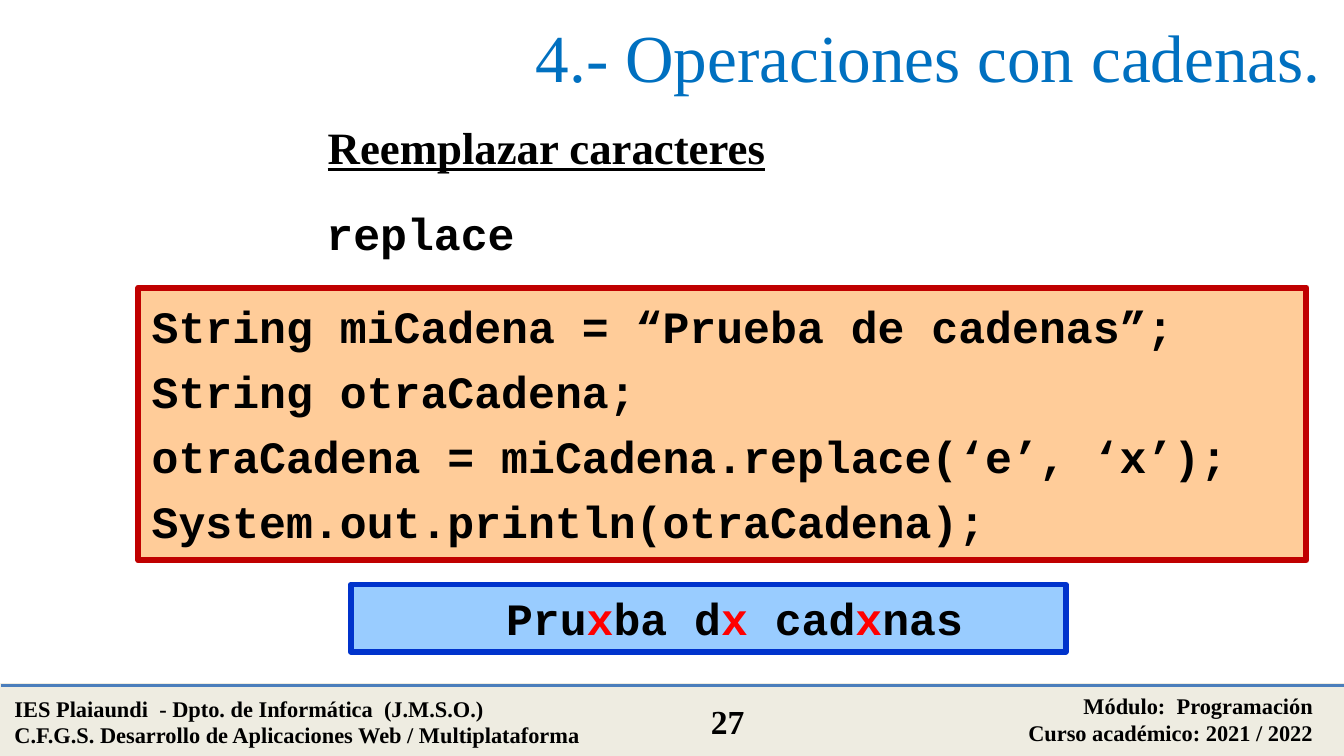
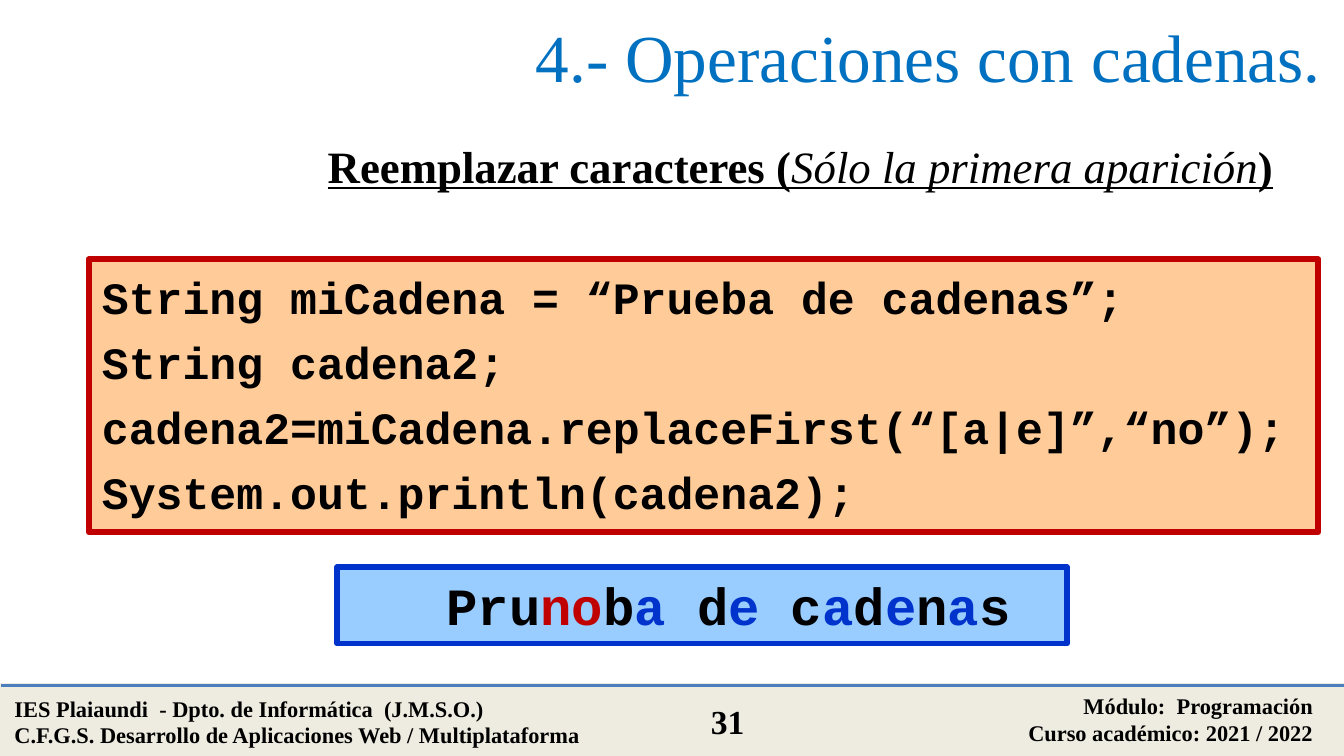
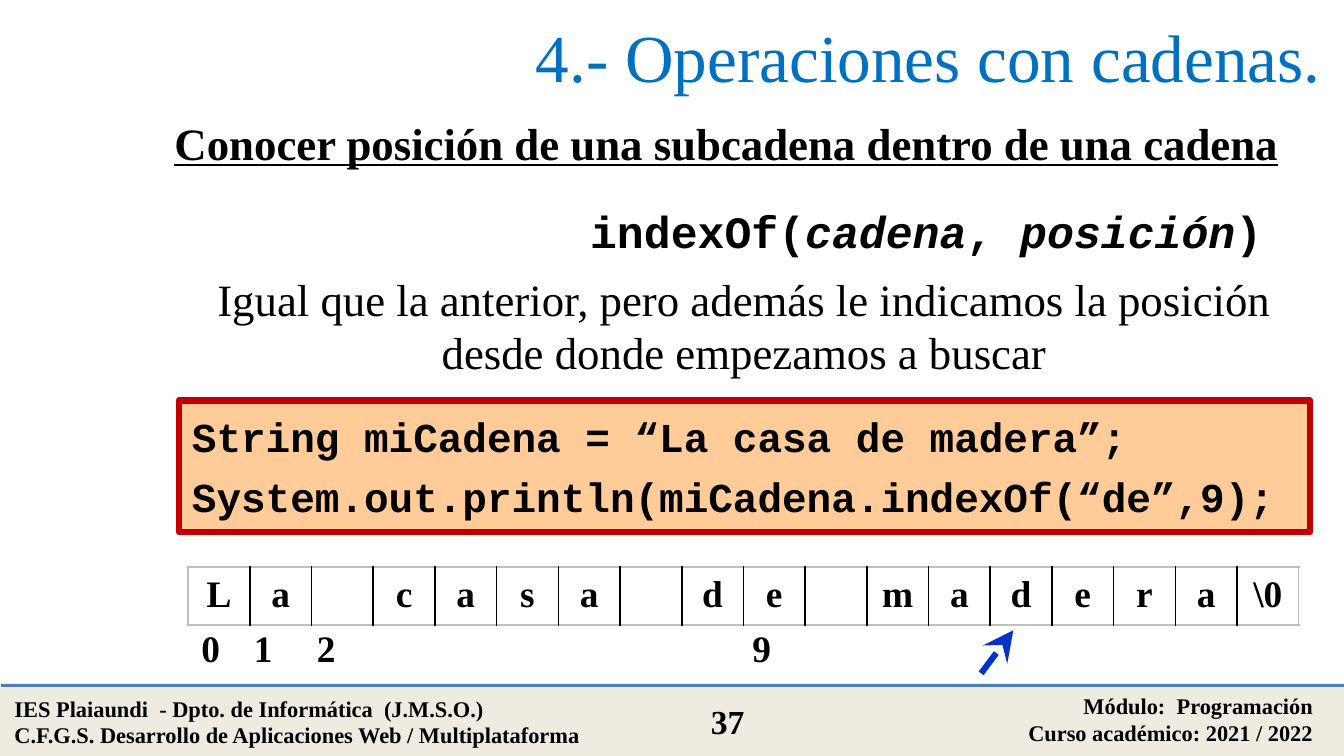
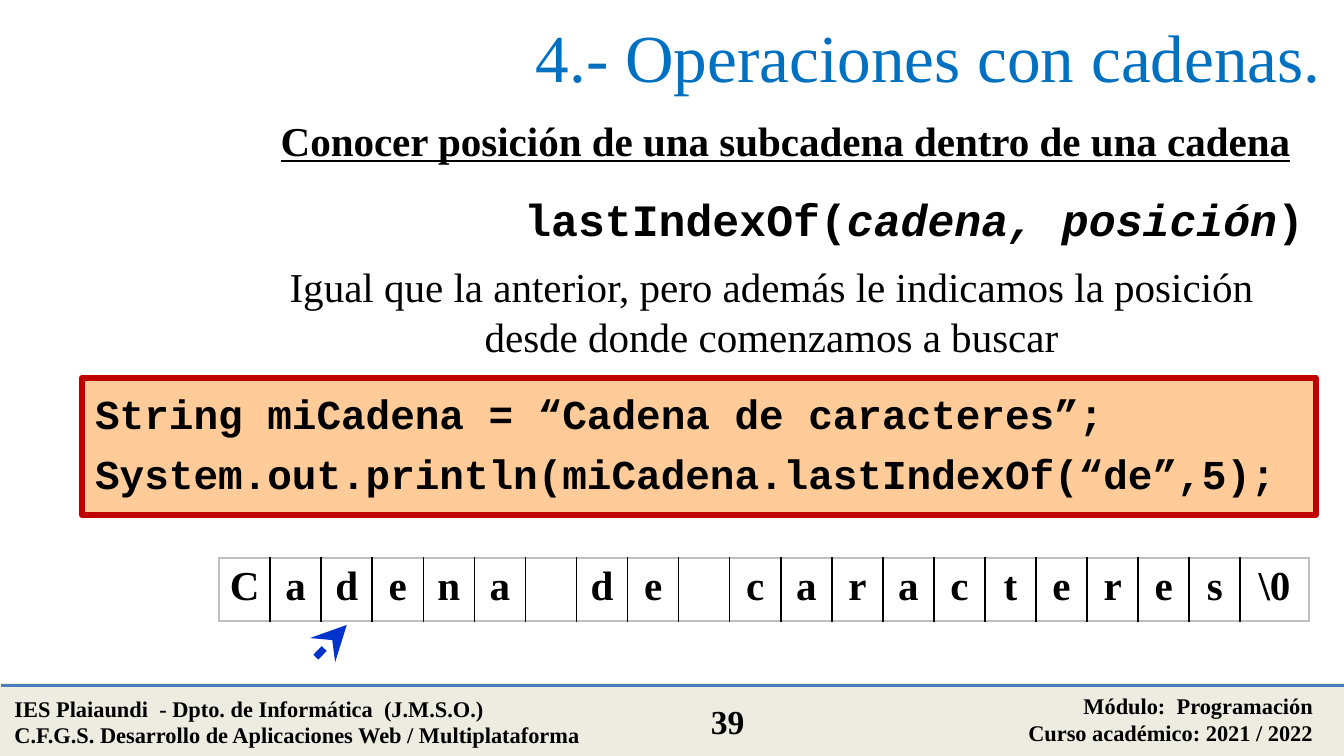
import pptx
import pptx.util
import pptx.dml.color
import pptx.enum.shapes
import pptx.enum.text
import pptx.oxml.ns
from dataclasses import dataclass
from lxml import etree

PT = pptx.util.Pt
ALIGN = pptx.enum.text.PP_ALIGN
RECT = pptx.enum.shapes.MSO_SHAPE.RECTANGLE
STRAIGHT = pptx.enum.shapes.MSO_CONNECTOR.STRAIGHT

# Grid: 100 columns by 56.25 rows of square units
COLS, ROWS = 100, 56.25
UNIT = pptx.util.Inches(0.1)


@dataclass(frozen=True)
class Theme:
    serif: str = "Times New Roman"
    mono: str = "Courier New"
    text: str = "000000"
    title: str = "0070C0"
    band: str = "EEECE1"
    rule: str = "4B7EBC"
    code_fill: str = "FFCC99"
    code_line: str = "C00000"
    result_fill: str = "99CCFF"
    result_line: str = "0033CC"
    highlight: str = "FF0000"
    grid_inner: str = "000000"
    grid_outer: str = "BFBFBF"
    title_size: int = 36
    large: int = 28
    body: int = 24
    small: int = 22
    cell: int = 20
    number: int = 18
    footer: int = 12
    code_gap: int = 6


T = Theme()
BOLD = {"bold": True}
BOLD_ITALIC = {"bold": True, "italic": True}
HEADING = {"bold": True, "underline": True}


def units(*values):
    return [round(v * UNIT) for v in values]


def rgb(color):
    return pptx.dml.color.RGBColor.from_string(color)


def sub(parent, tag, **attrs):
    return etree.SubElement(parent, pptx.oxml.ns.qn(tag), attrs)


# Text
def add_run(p, text, size, font, color=T.text, **style):
    r = p.add_run()
    r.text = text
    r.font.size, r.font.name = PT(size), font
    r.font.color.rgb = rgb(color)
    for name, value in style.items():
        setattr(r.font, name, value)


def write(tf, paragraphs, size, font, align=ALIGN.LEFT, gap=0):
    """Each paragraph is a list of (text, style) runs."""
    tf.word_wrap = True
    tf.auto_size = pptx.enum.text.MSO_AUTO_SIZE.NONE
    for i, runs in enumerate(paragraphs):
        p = tf.add_paragraph() if i else tf.paragraphs[0]
        p.alignment = align
        if i and gap:
            p.space_before = PT(gap)
        for text, style in runs:
            add_run(p, text, size, font, **style)


def add_text(shapes, at, paragraphs, size=T.body, font=T.serif, align=ALIGN.LEFT):
    sp = shapes.add_textbox(*units(*at))
    write(sp.text_frame, paragraphs, size, font, align)


def add_heading(s, at, runs, size=T.body):
    add_text(s.shapes, at, [runs], size, align=ALIGN.JUSTIFY)


# Boxes and lines
def add_box(shapes, at, fill, line, width):
    sp = shapes.add_shape(RECT, *units(*at))
    sp.shadow.inherit = False
    sp.fill.solid()
    sp.fill.fore_color.rgb = rgb(fill)
    sp.line.color.rgb = rgb(line)
    sp.line.width = PT(width)
    sp.text_frame.vertical_anchor = pptx.enum.text.MSO_ANCHOR.TOP
    return sp


def add_line(shapes, ends, color, width):
    cx = shapes.add_connector(STRAIGHT, *units(*ends))
    cx.line.color.rgb = rgb(color)
    cx.line.width = PT(width)
    sub(cx._element.spPr, "a:effectLst")
    return cx


def add_arrow(s, ends, width):
    cx = add_line(s.shapes, ends, T.result_line, width)
    sub(cx.line._get_or_add_ln(), "a:tailEnd", type="stealth", w="lg", len="lg")


def add_code(s, at, lines, size=T.body):
    tf = add_box(s.shapes, at, T.code_fill, T.code_line, 3.25).text_frame
    tf.margin_top, tf.margin_bottom = units(0.8, 0.8)
    write(tf, [[(line, BOLD)] for line in lines], size, T.mono, gap=T.code_gap)


def add_result(s, at, parts, size=T.body):
    tf = add_box(s.shapes, at, T.result_fill, T.result_line, 3).text_frame
    runs = [(text, {"bold": True, "color": color}) for text, color in parts]
    write(tf, [runs], size, T.mono, ALIGN.CENTER)
    pPr = tf.paragraphs[0]._p.get_or_add_pPr()
    pPr.set("marL", "0")
    pPr.set("indent", str(units(3.9)[0]))


# One-row table with one character per cell
def set_border(cell, side, color):
    ln = sub(cell._tc.get_or_add_tcPr(), "a:" + side, w=str(PT(1)))
    sub(sub(ln, "a:solidFill"), "a:srgbClr", val=color)


def add_characters(s, at, word, size, last_width=None):
    left, top, width, height = at
    chars = list(word) + ["\\0"]
    n = len(chars)
    last_width = last_width or width / n
    table = s.shapes.add_table(1, n, *units(*at)).table
    table.first_row = table.horz_banding = False
    table.rows[0].height = units(height)[0]
    for i, char in enumerate(chars):
        is_last = i == n - 1
        table.columns[i].width = units(last_width if is_last else (width - last_width) / (n - 1))[0]
        cell = table.cell(0, i)
        cell.margin_left = cell.margin_right = units(0.5)[0]
        p = cell.text_frame.paragraphs[0]
        p.alignment = ALIGN.CENTER
        if char != " ":
            add_run(p, char, size, T.serif, bold=True)
        set_border(cell, "lnL", T.grid_inner if i else T.grid_outer)
        set_border(cell, "lnR", T.grid_outer if is_last else T.grid_inner)
        set_border(cell, "lnT", T.grid_outer)
        set_border(cell, "lnB", T.grid_outer)
        cell.fill.background()


# Shared title and footer
def add_footer(s, number):
    shapes = s.shapes.add_group_shape().shapes
    add_box(shapes, (0.1, 51, COLS, 5.25), T.band, T.band, 2)
    add_line(shapes, (0.1, 51, COLS + 0.1, 51), T.rule, 2)
    school = ["IES Plaiaundi  - Dpto. de Informática  (J.M.S.O.)",
              "C.F.G.S. Desarrollo de Aplicaciones Web / Multiplataforma"]
    course = ["Módulo:  Programación", "Curso académico: 2021 / 2022"]
    for at, lines, size, align in (
            ((0.1, 51.2, 46.6, 5), school, T.footer, ALIGN.LEFT),
            ((58.7, 51.03, 40, 5), course, T.footer, ALIGN.RIGHT),
            ((50.1, 51.7, 8.1, 4), [str(number)], T.number, ALIGN.CENTER)):
        add_text(shapes, at, [[(line, BOLD)] for line in lines], size, align=align)


def new_slide(prs, number):
    s = prs.slides.add_slide(prs.slide_layouts[5])
    add_footer(s, number)
    sp = s.shapes.title
    sp.left, sp.top, sp.width, sp.height = units(12.4, 0, 86.9, 8.3)
    sp.text_frame.vertical_anchor = pptx.enum.text.MSO_ANCHOR.MIDDLE
    write(sp.text_frame, [[("4.- Operaciones con cadenas.", {"color": T.title})]],
          T.title_size, T.serif, ALIGN.RIGHT)
    return s


# Slides
def replace_slide(prs):
    s = new_slide(prs, 27)
    add_heading(s, (23.4, 8.4, 74.1, 5), [("Reemplazar caracteres", HEADING)])
    add_text(s.shapes, (23.3, 14.8, 27.1, 5), [[("replace", BOLD)]], font=T.mono)
    add_code(s, (10.3, 21.4, 86.9, 20.3), [
        "String miCadena = “Prueba de cadenas”;",
        "String otraCadena;",
        "otraCadena = miCadena.replace(‘e’, ‘x’);",
        "System.out.println(otraCadena);"])
    add_result(s, (26.1, 43.5, 53.2, 5), [
        ("Pru", T.text), ("x", T.highlight), ("ba d", T.text), ("x ", T.highlight),
        ("cad", T.text), ("x", T.highlight), ("nas", T.text)])


def replace_first_slide(prs):
    s = new_slide(prs, 31)
    add_heading(s, (23.4, 9.8, 72.3, 5), [
        ("Reemplazar caracteres (", HEADING),
        ("Sólo la primera aparición", {"italic": True, "underline": True}),
        (")", HEADING)])
    add_code(s, (6.6, 19.3, 91.5, 20.3), [
        "String miCadena = “Prueba de cadenas”;",
        "String cadena2;",
        "cadena2=miCadena.replaceFirst(“[a|e]”,“no”);",
        "System.out.println(cadena2);"])
    add_result(s, (25.1, 42.2, 54.3, 5.7), [
        ("Pru", T.text), ("no", T.code_line), ("b", T.text), ("a", T.result_line),
        (" d", T.text), ("e", T.result_line), (" c", T.text), ("a", T.result_line),
        ("d", T.text), ("e", T.result_line), ("n", T.text), ("a", T.result_line),
        ("s", T.text)], T.large)


def index_of_slide(prs):
    s = new_slide(prs, 37)
    add_heading(s, (12, 8.1, 85.7, 5),
                [("Conocer posición de una subcadena dentro de una cadena", HEADING)])
    add_text(s.shapes, (28.8, 14.7, 66.1, 5), [[
        ("indexOf(", BOLD), ("cadena", BOLD_ITALIC), (", ", BOLD),
        ("posición", BOLD_ITALIC), (")", BOLD)]], font=T.mono, align=ALIGN.RIGHT)
    add_text(s.shapes, (13.3, 19.7, 84.1, 9.1), [[
        ("Igual que la anterior, pero además le indicamos la posición "
         "desde donde empezamos a buscar", {})]], align=ALIGN.CENTER)
    add_code(s, (13.3, 29.8, 84.2, 9.8), [
        "String miCadena = “La casa de madera”;",
        "System.out.println(miCadena.indexOf(“de”,9);"], T.small)
    add_characters(s, (14, 42.2, 82.7, 4.3), "La casa de madera", T.cell)
    add_arrow(s, (73, 50.1, 75.4, 46.9), 3.25)
    for index, left in ((0, 14), (1, 17.9), (2, 22.6), (9, 55)):
        add_text(s.shapes, (left, 46, 3.1, 4.4), [[(str(index), BOLD)]], T.cell)


def last_index_of_slide(prs):
    s = new_slide(prs, 39)
    add_heading(s, (19.9, 8.1, 78.1, 4.7),
                [("Conocer posición de una subcadena dentro de una cadena", HEADING)], T.small)
    add_text(s.shapes, (27.1, 13.8, 70.9, 5), [[
        ("lastIndexOf(", BOLD), ("cadena, posición", BOLD_ITALIC), (")", BOLD)]],
        font=T.mono, align=ALIGN.RIGHT)
    add_text(s.shapes, (17.4, 19, 80, 8.4), [[
        ("Igual que la anterior, pero además le indicamos la posición "
         "desde donde comenzamos a buscar", {})]], T.small, align=ALIGN.CENTER)
    add_code(s, (6.1, 28.1, 91.8, 10.2), [
        "String miCadena = “Cadena de caracteres”;",
        "System.out.println(miCadena.lastIndexOf(“de”,5);"], T.small)
    add_characters(s, (16.3, 41.5, 81.1, 4.7), "Cadena de caracteres", T.small, 5.1)
    add_arrow(s, (23.5, 48.9, 25.8, 46.5), 3.75)


def main():
    prs = pptx.Presentation()
    prs.slide_width, prs.slide_height = units(COLS, ROWS)
    for build in (replace_slide, replace_first_slide, index_of_slide, last_index_of_slide):
        build(prs)
    prs.save("out.pptx")


if __name__ == "__main__":
    main()
